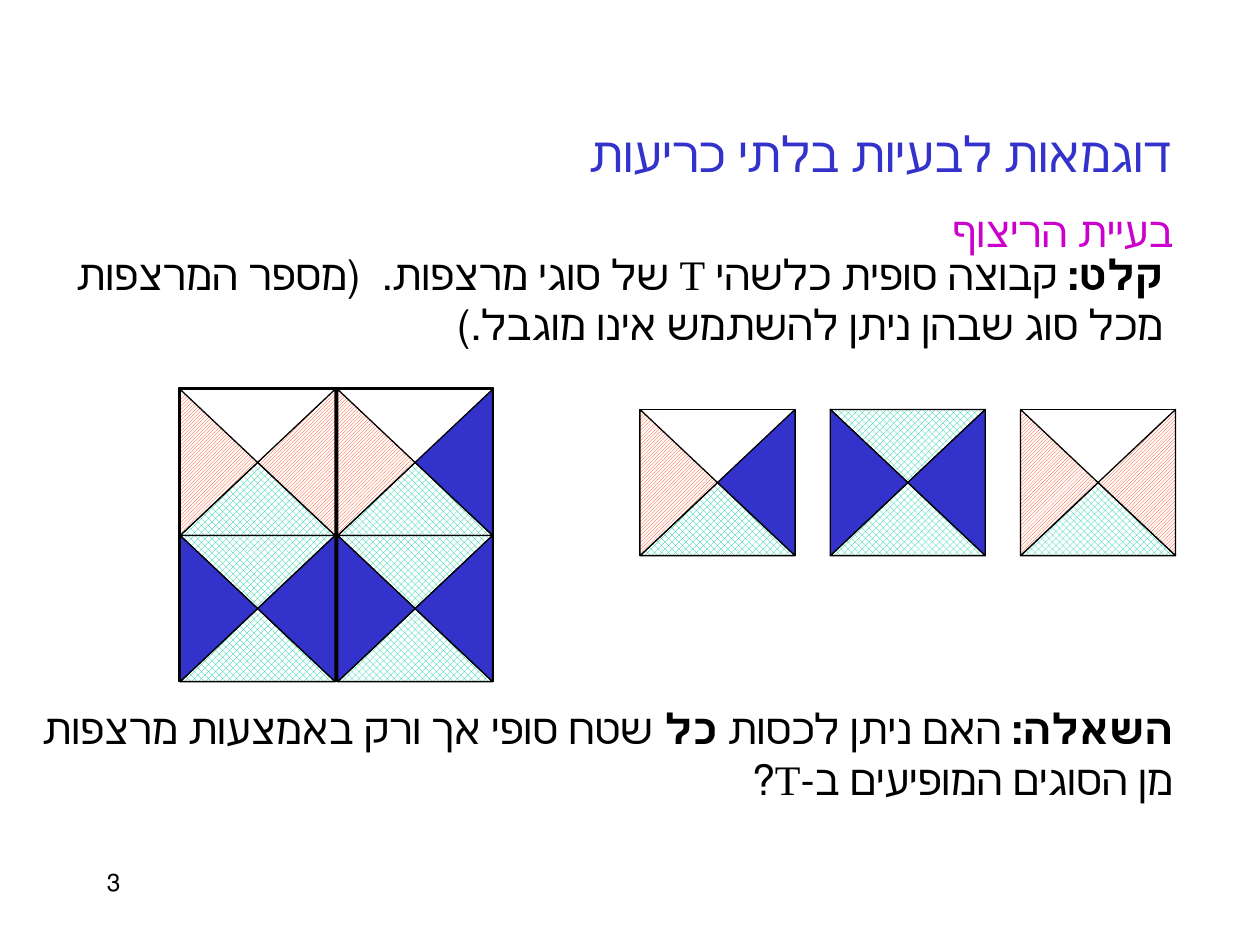
from pptx import Presentation, util as u
from pptx.dml.color import RGBColor
from pptx.enum import dml, shapes, text
from pptx.oxml import parse_xml
from pptx.oxml.ns import nsdecls

THEME = {
    "font": "Times New Roman",
    "blue": "3333CC", "magenta": "CC00CC", "black": "000000",
    "white": "FFFFFF", "green": "00CC99", "red": "FF3300",
    "title": 28, "body": 24, "number": 14, "line": 0.75,
}

# Content: each text is a list of (words, bold) runs
TITLE = [("דוגמאות לבעיות בלתי כריעות", False)]
PROBLEM = [("בעיית הריצוף", False)]
INPUT = [
    ("קלט:", True),
    (" קבוצה סופית כלשהי T של סוגי מרצפות.  (מספר המרצפות מכל סוג שבהן ניתן להשתמש אינו מוגבל.)", False),
]
QUESTION = [
    ("השאלה:", True),
    (" האם ניתן לכסות ", False),
    ("כל ", True),
    ("שטח סופי אך ורק באמצעות מרצפות מן הסוגים המופיעים ב-T?", False),
]
PAGE_NUMBER = [("3", False)]

# Tile kinds: colour of each side that is not white
MIXED = {"bottom": "green", "right": "blue", "left": "red"}
BLUE_SIDES = {"top": "green", "bottom": "green", "right": "blue", "left": "blue"}
RED_SIDES = {"bottom": "green", "right": "red", "left": "red"}
TILE_TYPES = [MIXED, BLUE_SIDES, RED_SIDES]
TILED_AREA = [[RED_SIDES, MIXED], [BLUE_SIDES, BLUE_SIDES]]

PATTERNS = {
    "green": dml.MSO_PATTERN.SOLID_DIAMOND,
    "red": dml.MSO_PATTERN.DARK_UPWARD_DIAGONAL,
}
ROTATION = {"top": 0, "bottom": 180, "right": 90, "left": 270}

# Layout in inches
TEXT_LEFT, TEXT_WIDTH = 0.08, 9.33
TILE_W, TILE_H = 1.23, 1.16
TYPES_LEFT, TYPES_TOP, TYPES_PITCH = 5.08, 3.25, 1.51
AREA = (1.42, 3.08, 2.5, 2.33)
AREA_INSET = 0.01

prs = Presentation()
prs.slide_width, prs.slide_height = u.Inches(10), u.Inches(7.5)
slide = prs.slides.add_slide(prs.slide_layouts[5])


def color(name):
    return RGBColor.from_string(THEME[name])


def inches(*lengths):
    return [u.Inches(length) for length in lengths]


def write(box, place, runs, size, ink="black", align=text.PP_ALIGN.RIGHT):
    box.left, box.top, box.width, box.height = inches(*place)
    frame = box.text_frame
    frame.word_wrap = True
    frame.auto_size = text.MSO_AUTO_SIZE.NONE
    frame.vertical_anchor = text.MSO_ANCHOR.TOP
    paragraph = frame.paragraphs[0]
    paragraph.alignment = align
    paragraph._p.get_or_add_pPr().set("rtl", "1")
    font = paragraph.font
    font.name, font.size = THEME["font"], u.Pt(THEME[size])
    font.color.rgb = color(ink)
    for words, bold in runs:
        run = paragraph.add_run()
        run.text, run.font.bold = words, bold


def add_text(place, *args, **kwargs):
    write(slide.shapes.add_textbox(*inches(*place)), place, *args, **kwargs)


def draw(group, kind, place, fill, rotation=0):
    shape = group.shapes.add_shape(kind, *inches(*place))
    shape.rotation = rotation
    shape.shadow.inherit = False
    if fill in PATTERNS:
        shape.fill.patterned()
        shape.fill.pattern = PATTERNS[fill]
        shape.fill.fore_color.rgb = color(fill)
        shape.fill.back_color.rgb = color("white")
    else:
        shape.fill.solid()
        shape.fill.fore_color.rgb = color(fill)
    shape.line.color.rgb = color("black")
    shape.line.width = u.Pt(THEME["line"])
    return shape


def draw_tile(left, top, sides):
    tile = slide.shapes.add_group_shape()
    draw(tile, shapes.MSO_SHAPE.RECTANGLE, (left, top, TILE_W, TILE_H), "white")
    centers = {
        "top": (TILE_W / 2, TILE_H / 4), "bottom": (TILE_W / 2, TILE_H * 3 / 4),
        "right": (TILE_W * 3 / 4, TILE_H / 2), "left": (TILE_W / 4, TILE_H / 2),
    }
    for side, fill in sides.items():
        x, y = centers[side]
        # Size before rotation: base along the side, apex at the tile's centre
        w, h = (TILE_W, TILE_H / 2) if side in ("top", "bottom") else (TILE_H, TILE_W / 2)
        draw(tile, shapes.MSO_SHAPE.FLOWCHART_MERGE,
             (left + x - w / 2, top + y - h / 2, w, h), fill, ROTATION[side])


# Texts
write(slide.shapes.title, (TEXT_LEFT, 0.93, TEXT_WIDTH, 0.57), TITLE, "title", "blue")
add_text((TEXT_LEFT, 1.58, TEXT_WIDTH, 0.5), PROBLEM, "body", "magenta")
add_text((0, 1.92, TEXT_WIDTH, 0.9), INPUT, "body")
add_text((TEXT_LEFT, 5.53, TEXT_WIDTH, 0.9), QUESTION, "body")
add_text((0.75, 6.83, 2.08, 0.5), PAGE_NUMBER, "number", align=text.PP_ALIGN.LEFT)

# Frame of the tiled area, halved both ways
area = slide.shapes.add_group_shape()
frame = draw(area, shapes.MSO_SHAPE.RECTANGLE, AREA, "white")
for start, end in [(0, 2), (1, 3)]:
    divider = area.shapes.add_connector(shapes.MSO_CONNECTOR.STRAIGHT, 0, 0, 0, 0)
    divider.begin_connect(frame, start)
    divider.end_connect(frame, end)
    divider.line.color.rgb = color("black")
    divider.line.width = u.Pt(THEME["line"])
    divider._element.spPr.append(parse_xml(f"<a:effectLst {nsdecls('a')}/>"))

# Tile types in a row, then the tiled area
for column, sides in enumerate(TILE_TYPES):
    draw_tile(TYPES_LEFT + column * TYPES_PITCH, TYPES_TOP, sides)
for row, tiles in enumerate(TILED_AREA):
    for column, sides in enumerate(tiles):
        draw_tile(AREA[0] + AREA_INSET + column * AREA[2] / 2,
                  AREA[1] + AREA_INSET + row * TILE_H, sides)

prs.save("out.pptx")
